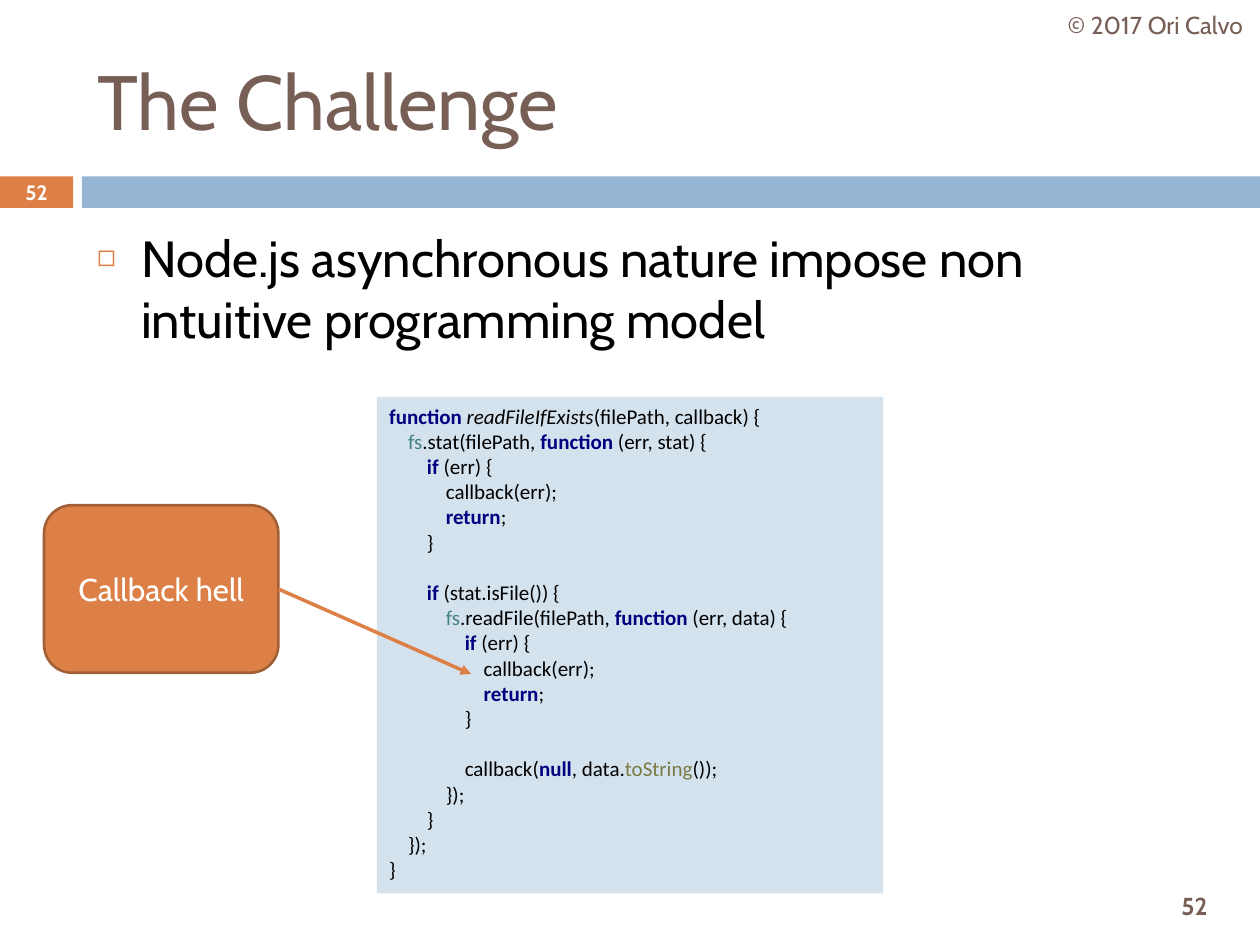
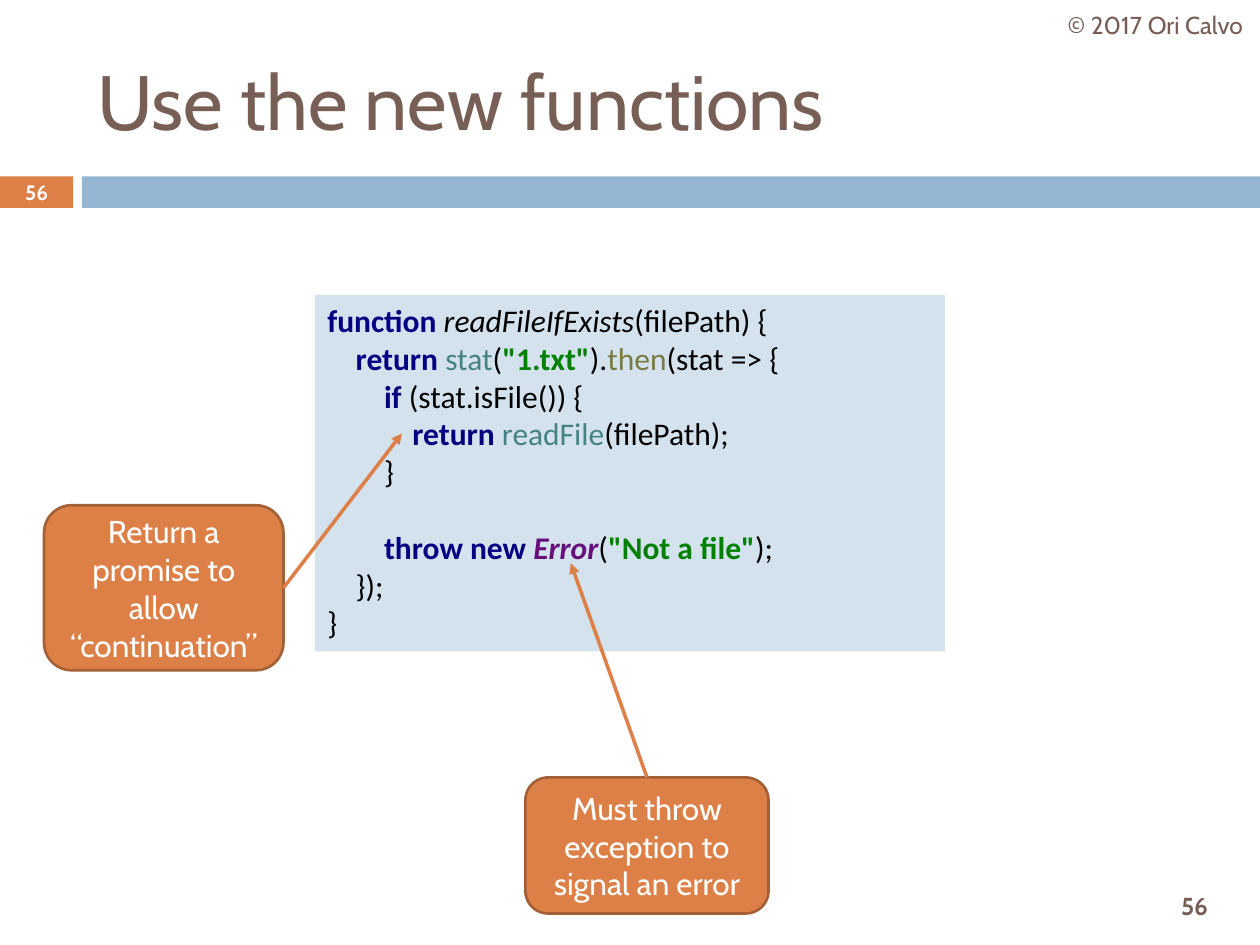
from dataclasses import dataclass

from lxml.etree import SubElement
from pptx import Presentation
from pptx.dml.color import RGBColor
from pptx.enum.shapes import MSO_CONNECTOR as Connector, MSO_SHAPE as Preset
from pptx.enum.text import MSO_ANCHOR as Anchor, MSO_AUTO_SIZE as AutoSize, PP_ALIGN as Align
from pptx.oxml.ns import qn
from pptx.util import Inches, Pt


@dataclass(frozen=True)
class Theme:
    heading_font: str = "Cabin"
    code_font: str = "Calibri"
    brown: str = "775F55"
    orange: str = "DD8047"
    orange_edge: str = "A35F35"
    blue: str = "94B6D2"
    pale_blue: str = "D4E2ED"
    black: str = "000000"
    white: str = "FFFFFF"
    title_size: float = 44
    body_size: float = 29
    callout_size: float = 18
    footer_size: float = 14
    badge_size: float = 11.9
    line_height: float = 1.2
    code_indent: float = 0.9


THEME = Theme()
TITLE_BOX = (0.67, 0.25, 8.92, 1.08)
BODY_BOX = (0.67, 1.75, 8.92, 4.92)
CREDIT_BOX = (8.34, 0, 1.66, 0.4)
PAGE_BOX = (9.02, 6.98, 0.92, 0.42)
BAND_TOP, BAND_HEIGHT, BADGE_WIDTH, BAND_LEFT = 1.4, 0.25, 0.58, 0.65
RIGHT, TOP = 3, 0

TOKENS = {
    "keyword": {"color": "000080", "bold": True},
    "name": {"italic": True},
    "module": {"color": "458383"},
    "method": {"color": "7A7A43"},
    "string": {"color": "008000", "bold": True},
    "class": {"color": "660E7A", "bold": True, "italic": True},
}

CALLBACK_CODE = """
~keyword:function ~~name:readFileIfExists~(filePath, callback) {
    ~module:fs~.stat(filePath, ~keyword:function ~(err, stat) {
        ~keyword:if ~(err) {
            callback(err);
            ~keyword:return~;
        }

        ~keyword:if ~(stat.isFile()) {
            ~module:fs~.readFile(filePath, ~keyword:function ~(err, data) {
                ~keyword:if ~(err) {
                    callback(err);
                    ~keyword:return~;
                }

                callback(~keyword:null~, data.~method:toString~());
            });
        }
    });
}
"""

PROMISE_CODE = """
~keyword:function ~~name:readFileIfExists~(filePath) {
    ~keyword:return ~~module:stat~(~string:"1.txt"~).~method:then~(stat => {
        ~keyword:if ~(stat.isFile()) {
            ~keyword:return ~~module:readFile~(filePath);
        }

        ~keyword:throw new ~~class:Error~(~string:"Not a file"~);
    });
}
"""


def rgb(color):
    return RGBColor.from_string(color)


def set_attributes(target, values):
    for name, value in values.items():
        setattr(target, name, value)


def place(shape, box):
    set_attributes(shape, dict(zip(("left", "top", "width", "height"), map(Inches, box))))


def add_run(paragraph, text, font, size, color, bold=False, italic=False):
    run = paragraph.add_run()
    run.text = text
    set_attributes(run.font, {"name": font, "size": Pt(size), "bold": bold, "italic": italic})
    run.font.color.rgb = rgb(color)


def write(shape, text, size, color, align=Align.CENTER, anchor=Anchor.MIDDLE, bold=False):
    frame = shape.text_frame
    set_attributes(frame, {"word_wrap": True, "auto_size": AutoSize.NONE, "vertical_anchor": anchor})
    paragraph = frame.paragraphs[0]
    paragraph.alignment = align
    add_run(paragraph, text, THEME.heading_font, size, color, bold)
    return paragraph


def add_text(slide, box, text, size, color, bold=False):
    write(slide.shapes.add_textbox(*map(Inches, box)), text, size, color, bold=bold)


def add_box(slide, box, fill, preset=Preset.RECTANGLE, edge=None):
    shape = slide.shapes.add_shape(preset, *map(Inches, box))
    shape.shadow.inherit = False
    shape.fill.solid()
    shape.fill.fore_color.rgb = rgb(fill)
    if edge:
        shape.line.color.rgb = rgb(edge)
        shape.line.width = Pt(1.5)
    else:
        shape.line.fill.background()
    return shape


def set_indent(paragraph, margin, hanging=0):
    properties = paragraph._p.get_or_add_pPr()
    properties.set("marL", str(int(margin)))
    properties.set("indent", str(-int(hanging)))
    return properties


def add_frame(presentation, layout_index, title, number):
    slide = presentation.slides.add_slide(presentation.slide_layouts[layout_index])
    band_width = presentation.slide_width.inches - BAND_LEFT
    badge_box = (0, BAND_TOP, BADGE_WIDTH, BAND_HEIGHT)
    add_box(slide, badge_box, THEME.orange)
    add_box(slide, (BAND_LEFT, BAND_TOP, band_width, BAND_HEIGHT), THEME.blue)
    add_text(slide, PAGE_BOX, number, THEME.footer_size, THEME.brown, bold=True)
    add_text(slide, CREDIT_BOX, "© 2017 Ori Calvo", THEME.footer_size, THEME.brown)
    add_text(slide, badge_box, number, THEME.badge_size, THEME.white, bold=True)
    place(slide.shapes.title, TITLE_BOX)
    write(slide.shapes.title, title, THEME.title_size, THEME.brown, Align.LEFT)
    return slide


def fill_body(slide, text):
    body = slide.placeholders[1]
    place(body, BODY_BOX)
    paragraph = write(body, text, THEME.body_size, THEME.black, Align.LEFT, Anchor.TOP)
    paragraph.space_before = Pt(7)
    properties = set_indent(paragraph, Inches(0.35), Inches(0.35))
    bullet_color = SubElement(properties, qn("a:buClr"))
    SubElement(bullet_color, qn("a:srgbClr"), val=THEME.orange)
    SubElement(properties, qn("a:buSzPct"), val="60000")
    SubElement(properties, qn("a:buChar"), char="◻")


def write_code_line(paragraph, line, size):
    code = line.lstrip()
    level = (len(line) - len(code)) // 4
    set_indent(paragraph, Pt(level * size * THEME.code_indent))
    paragraph.alignment = Align.LEFT
    for position, part in enumerate(code.split("~")):
        style = {"color": THEME.black}
        if position % 2:
            token, part = part.split(":", 1)
            style.update(TOKENS[token])
        if part:
            add_run(paragraph, part, THEME.code_font, size, **style)


def add_code(slide, box, code, size):
    frame = add_box(slide, box, THEME.pale_blue).text_frame
    set_attributes(frame, {"word_wrap": True, "vertical_anchor": Anchor.TOP,
                           "auto_size": AutoSize.SHAPE_TO_FIT_TEXT})
    for block_index, block in enumerate(code.strip().split("\n\n")):
        for line_index, line in enumerate(block.split("\n")):
            first = block_index == line_index == 0
            paragraph = frame.paragraphs[0] if first else frame.add_paragraph()
            write_code_line(paragraph, line, size)
            if block_index and line_index == 0:
                paragraph.space_before = Pt(size * THEME.line_height)


def add_callout(slide, box, text, side, target):
    callout = add_box(slide, box, THEME.orange, Preset.ROUNDED_RECTANGLE, THEME.orange_edge)
    write(callout, text, THEME.callout_size, THEME.white)
    end = tuple(map(Inches, target))
    arrow = slide.shapes.add_connector(Connector.STRAIGHT, callout.left, callout.top, *end)
    arrow.begin_connect(callout, side)
    arrow.line.color.rgb = rgb(THEME.orange)
    arrow.line.width = Pt(2)
    SubElement(arrow.line._get_or_add_ln(), qn("a:tailEnd"), type="triangle")
    SubElement(arrow._element.spPr, qn("a:effectLst"))


def build_challenge(presentation):
    slide = add_frame(presentation, 1, "The Challenge", "52")
    fill_body(slide, "Node.js asynchronous nature impose non intuitive programming model")
    add_code(slide, (2.99, 3.15, 4.02, 3.94), CALLBACK_CODE, 12)
    add_callout(slide, (0.35, 4.01, 1.86, 1.33), "Callback hell", RIGHT, (3.74, 5.35))


def build_new_functions(presentation):
    slide = add_frame(presentation, 5, "Use the new functions", "56")
    add_code(slide, (2.5, 2.34, 5, 2.83), PROMISE_CODE, 18)
    add_callout(slide, (0.35, 4.01, 1.9, 1.31), "Return a promise to allow “continuation”",
                RIGHT, (3.19, 3.44))
    add_callout(slide, (4.17, 6.17, 1.93, 1.08), "Must throw exception to signal an error",
                TOP, (4.53, 4.47))


def main():
    presentation = Presentation()
    presentation.slide_width = Inches(10)
    presentation.slide_height = Inches(7.5)
    build_challenge(presentation)
    build_new_functions(presentation)
    presentation.save("out.pptx")


if __name__ == "__main__":
    main()
